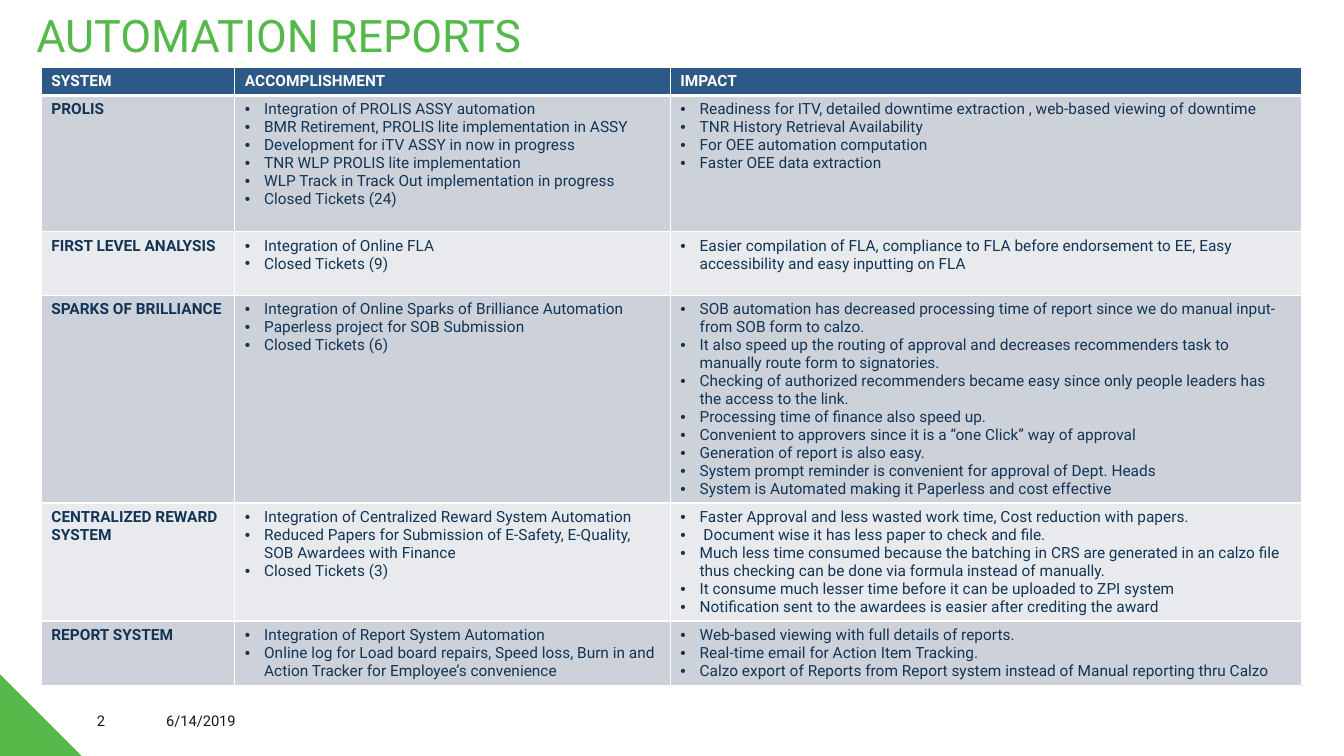
"""Build the automation reports slide with its accomplishment and impact table."""
from dataclasses import dataclass

from lxml.etree import SubElement
from pptx import Presentation
from pptx.dml.color import RGBColor
from pptx.enum.text import MSO_ANCHOR, MSO_AUTO_SIZE, PP_ALIGN
from pptx.oxml.ns import qn
from pptx.util import Inches, Pt

FONT = "Roboto"
GREEN, NAVY, INK, WHITE = "54B948", "133455", "181818", "FFFFFF"
HEADER_FILL = "2C5985"
BAND_FILLS = ("CDD1D9", "E8EAED")
HEADINGS = ("SYSTEM", "ACCOMPLISHMENT", "IMPACT")
COLUMN_WIDTHS = (1.92, 4.32, 6.26)
HEADER_HEIGHT = 0.27
BULLET_INDENT = Inches(0.19)


@dataclass(frozen=True)
class Report:
    system: str
    height: float
    accomplishments: tuple[str, ...]
    impacts: tuple[str, ...]


@dataclass(frozen=True)
class FooterItem:
    text: str
    left: float
    width: float
    align: PP_ALIGN


REPORTS = (
    Report("PROLIS", 1.35, (
        "Integration of PROLIS ASSY automation",
        "BMR Retirement, PROLIS lite implementation in ASSY",
        "Development for iTV ASSY in now in progress",
        "TNR WLP PROLIS lite implementation",
        "WLP Track in Track Out implementation in progress",
        "Closed Tickets (24)",
    ), (
        "Readiness for ITV, detailed downtime extraction , web-based viewing of downtime",
        "TNR History Retrieval Availability",
        "For OEE automation computation",
        "Faster OEE data extraction",
    )),
    Report("FIRST LEVEL ANALYSIS", 0.63, (
        "Integration of Online FLA",
        "Closed Tickets (9)",
    ), (
        "Easier compilation of FLA, compliance to FLA before endorsement to EE, "
        "Easy accessibility and easy inputting on FLA",
    )),
    Report("SPARKS OF BRILLIANCE", 2.06, (
        "Integration of Online Sparks of Brilliance Automation",
        "Paperless project for SOB Submission",
        "Closed Tickets (6)",
    ), (
        "SOB automation has decreased processing time of report since we do manual "
        "input- from SOB form to calzo.",
        "It also speed up the routing of approval and decreases recommenders task to "
        "manually route form to signatories.",
        "Checking of authorized recommenders became easy since only people leaders has "
        "the access to the link.",
        "Processing time of finance also speed up.",
        "Convenient to approvers since it is a “one Click” way of approval",
        "Generation of report is also easy.",
        "System prompt reminder is convenient for approval of Dept. Heads",
        "System is Automated making it Paperless and cost effective",
    )),
    Report("CENTRALIZED REWARD SYSTEM", 1.17, (
        "Integration of Centralized Reward System Automation",
        "Reduced Papers for Submission of E-Safety, E-Quality, SOB Awardees with Finance",
        "Closed Tickets (3)",
    ), (
        "Faster Approval and less wasted work time, Cost reduction with papers.",
        " Document wise it has less paper to check and file.",
        "Much less time consumed because the batching in CRS are generated in an calzo "
        "file thus checking can be done via formula instead of manually.",
        "It consume much lesser time before it can be uploaded to ZPI system",
        "Notification sent to the awardees is easier after crediting the award",
    )),
    Report("REPORT SYSTEM", 0.63, (
        "Integration of Report System Automation",
        "Online log for Load board repairs, Speed loss, Burn in and Action Tracker for "
        "Employee’s convenience",
    ), (
        "Web-based viewing with full details of reports.",
        "Real-time email for Action Item Tracking.",
        "Calzo export of Reports from Report system instead of Manual reporting thru Calzo",
    )),
)

FOOTER = (
    FooterItem("6/14/2019", 1.55, 3, PP_ALIGN.LEFT),
    FooterItem("2", 0.41, 0.73, PP_ALIGN.RIGHT),
)


def paint(target, color: str) -> None:
    target.solid()
    target.fore_color.rgb = RGBColor.from_string(color)


def add_run(paragraph, text: str, size: float, color: str, bold: bool = False) -> None:
    run = paragraph.add_run()
    run.text = text
    run.font.name = FONT
    run.font.size = Pt(size)
    run.font.bold = bold
    paint(run.font.fill, color)


def add_bullet(paragraph) -> None:
    properties = paragraph._p.get_or_add_pPr()
    properties.set("marL", str(BULLET_INDENT))
    properties.set("indent", str(-BULLET_INDENT))
    SubElement(properties, qn("a:buFont")).set("typeface", "Arial")
    SubElement(properties, qn("a:buChar")).set("char", "•")


def add_borders(cell, top: float, bottom: float) -> None:
    properties = cell._tc.get_or_add_tcPr()
    for side, width in (("L", 1), ("R", 1), ("T", top), ("B", bottom)):
        border = SubElement(properties, qn(f"a:ln{side}"))
        border.set("w", str(Pt(width)))
        fill = SubElement(border, qn("a:solidFill"))
        SubElement(fill, qn("a:srgbClr")).set("val", WHITE)


def fill_cell(cell, lines: tuple[str, ...], fill: str, color: str = NAVY,
              bold: bool = False, bulleted: bool = False,
              top: float = 1, bottom: float = 1) -> None:
    add_borders(cell, top, bottom)
    paint(cell.fill, fill)
    frame = cell.text_frame
    for index, line in enumerate(lines):
        paragraph = frame.add_paragraph() if index else frame.paragraphs[0]
        if bulleted:
            add_bullet(paragraph)
        add_run(paragraph, line, 11, color, bold)


def add_title(slide) -> None:
    title = slide.shapes.title
    title.left, title.top = Inches(0.26), Inches(0)
    title.width, title.height = Inches(12.28), Inches(0.76)
    frame = title.text_frame
    frame.auto_size = MSO_AUTO_SIZE.NONE
    frame.vertical_anchor = MSO_ANCHOR.MIDDLE
    heading = frame.paragraphs[0]
    heading.alignment = PP_ALIGN.LEFT
    heading.line_spacing = 0.9
    add_run(heading, "AUTOMATION REPORTS", 32, GREEN)


def add_corner(slide) -> None:
    builder = slide.shapes.build_freeform(Inches(0), Inches(6.69))
    builder.add_line_segments([(Inches(0.81), Inches(7.5)), (Inches(0), Inches(7.5))])
    corner = builder.convert_to_shape()
    corner.shadow.inherit = False
    paint(corner.fill, GREEN)
    corner.line.fill.background()


def add_report_table(slide) -> None:
    heights = [HEADER_HEIGHT, *(report.height for report in REPORTS)]
    table = slide.shapes.add_table(
        len(heights), len(HEADINGS), Inches(0.41), Inches(0.67),
        Inches(sum(COLUMN_WIDTHS)), Inches(sum(heights))).table
    for column, width in zip(table.columns, COLUMN_WIDTHS):
        column.width = Inches(width)
    for row, height in zip(table.rows, heights):
        row.height = Inches(height)
    for column, heading in enumerate(HEADINGS):
        fill_cell(table.cell(0, column), (heading,), HEADER_FILL, WHITE, bold=True, bottom=3)
    for row, report in enumerate(REPORTS, start=1):
        band = BAND_FILLS[(row - 1) % 2]
        top = 3 if row == 1 else 1
        fill_cell(table.cell(row, 0), (report.system,), band, bold=True, top=top)
        for column, lines in enumerate((report.accomplishments, report.impacts), start=1):
            fill_cell(table.cell(row, column), lines, band, bulleted=True, top=top)


def add_footer(slide, item: FooterItem) -> None:
    frame = slide.shapes.add_textbox(
        Inches(item.left), Inches(6.95), Inches(item.width), Inches(0.4)).text_frame
    frame.word_wrap = True
    frame.vertical_anchor = MSO_ANCHOR.MIDDLE
    frame.paragraphs[0].alignment = item.align
    add_run(frame.paragraphs[0], item.text, 10.5, INK)


def main() -> None:
    presentation = Presentation()
    presentation.slide_width, presentation.slide_height = Inches(13.33), Inches(7.5)
    slide = presentation.slides.add_slide(presentation.slide_layouts[5])
    paint(slide.background.fill, WHITE)
    add_corner(slide)
    add_title(slide)
    add_report_table(slide)
    for item in FOOTER:
        add_footer(slide, item)
    presentation.save("out.pptx")


if __name__ == "__main__":
    main()
